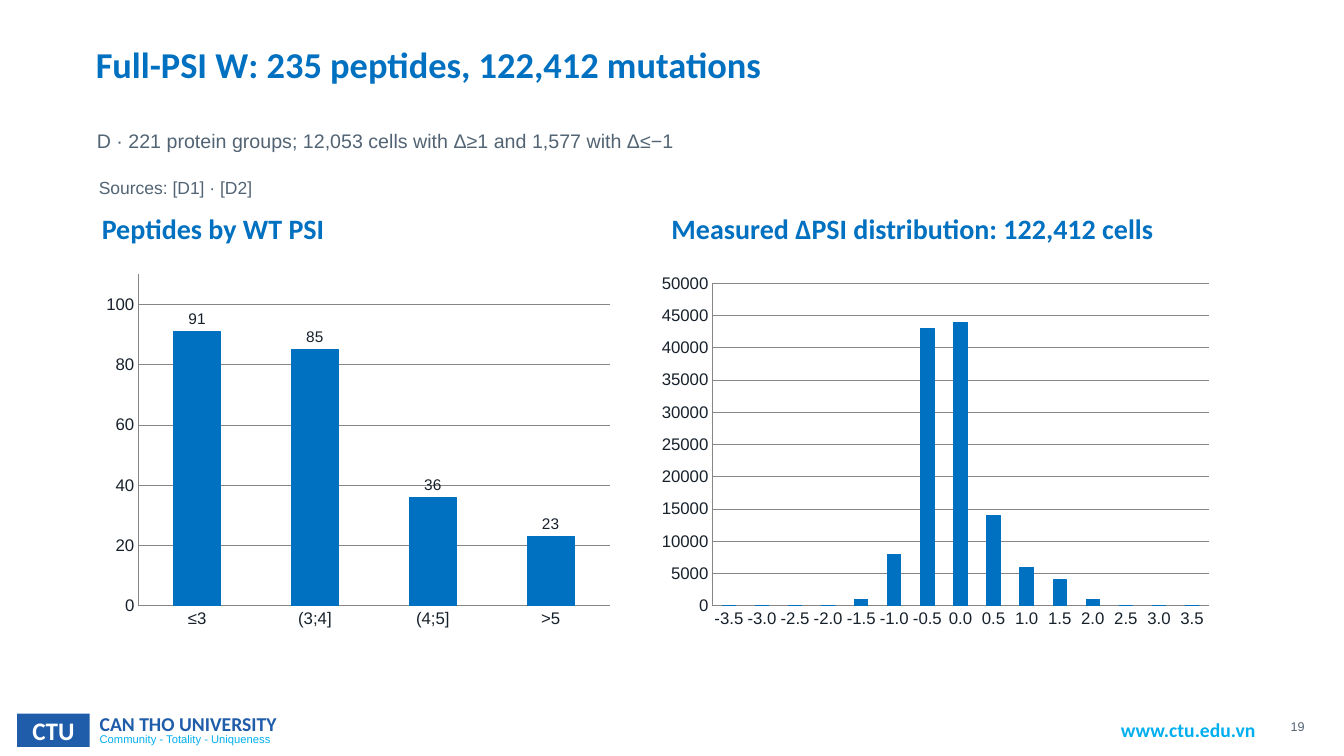
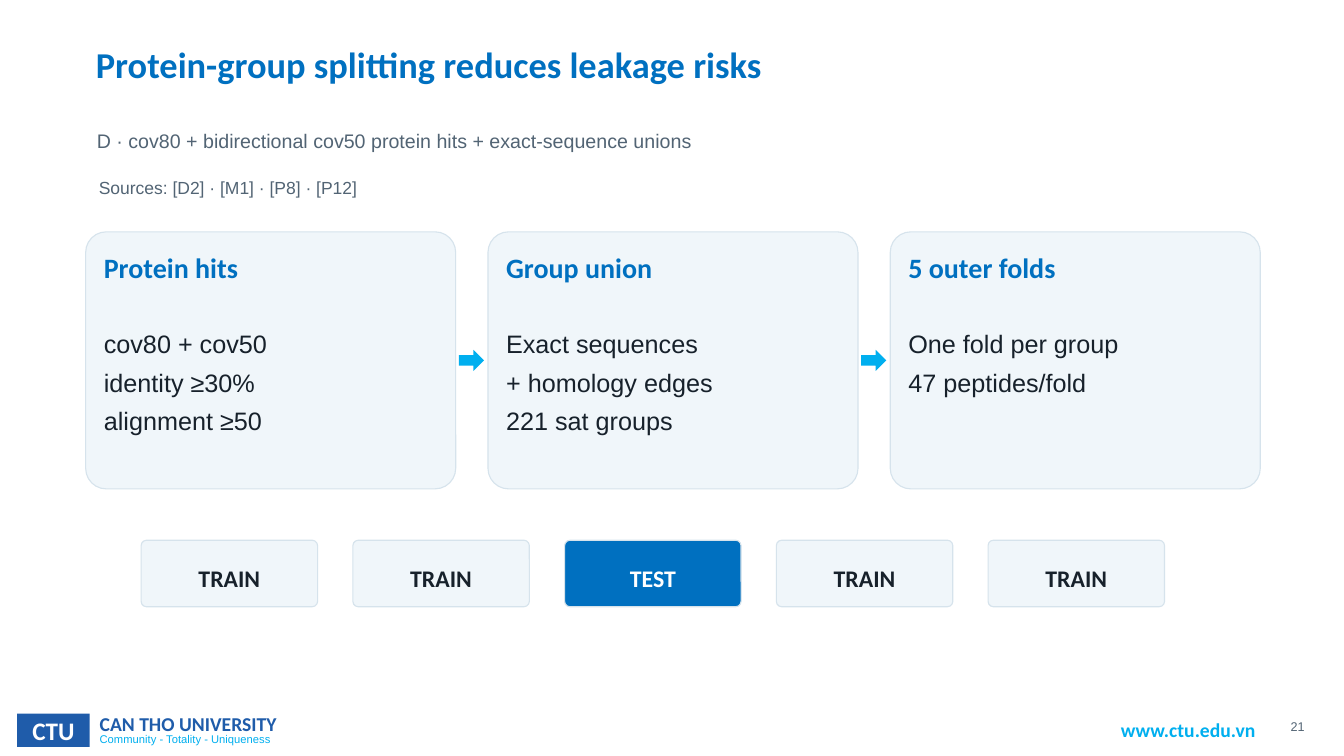
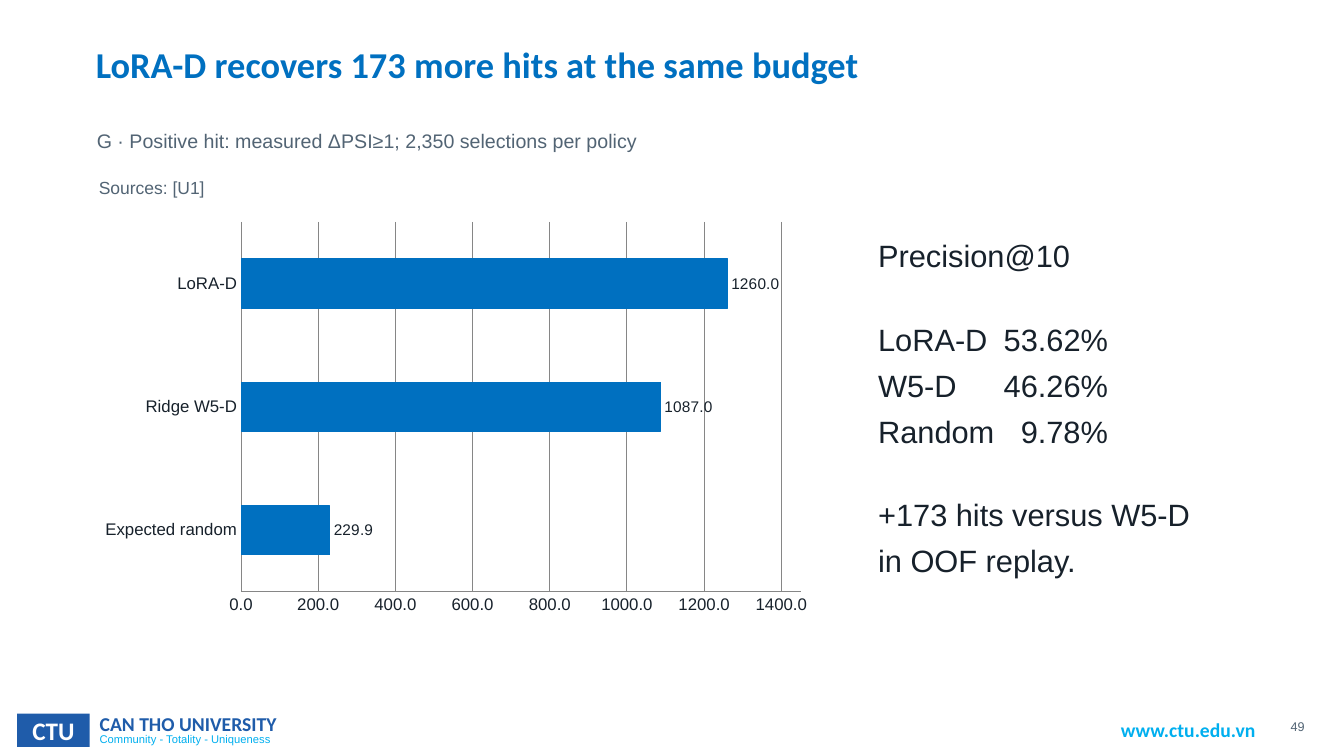
from dataclasses import dataclass
from typing import NamedTuple, Optional, Sequence

from pptx import Presentation
from pptx.chart.data import CategoryChartData
from pptx.dml.color import RGBColor
from pptx.enum.chart import XL_CHART_TYPE as Kind, XL_LABEL_POSITION as Spot, XL_TICK_MARK as Tick
from pptx.enum.shapes import MSO_SHAPE as Form
from pptx.enum.text import MSO_ANCHOR as Anchor, PP_ALIGN as Align
from pptx.oxml import parse_xml
from pptx.oxml.ns import nsdecls
from pptx.util import Inches, Pt

BLUE = RGBColor(0x00, 0x70, 0xC0)
CYAN = RGBColor(0x00, 0xAF, 0xEF)
NAVY = RGBColor(0x1F, 0x5C, 0xAA)
INK = RGBColor(0x17, 0x21, 0x2B)
SLATE = RGBColor(0x52, 0x64, 0x74)
PALE = RGBColor(0xF0, 0xF6, 0xFA)
EDGE = RGBColor(0xD6, 0xE3, 0xEC)
GRID = RGBColor(0x86, 0x86, 0x86)
WHITE = RGBColor(0xFF, 0xFF, 0xFF)
HEAD, BODY = "Calibri", "Arial"


class Box(NamedTuple):
    left: float
    top: float
    width: float
    height: float

    def emu(self) -> list:
        return [Inches(n) for n in self]


@dataclass(frozen=True)
class Style:
    size: float
    color: RGBColor
    face: str = BODY
    bold: bool = False
    align: Align = Align.LEFT
    line: Optional[float] = 1.13
    after: float = 3


TITLE = Style(26, BLUE, HEAD, True)
LEAD = Style(14, SLATE)
SOURCE = Style(12.5, SLATE)
SUBHEAD = Style(20, BLUE, HEAD, True)
TEXT = Style(18, INK)
LARGE = Style(22, INK)
NUMBER = Style(9, SLATE, align=Align.RIGHT)
BADGE = Style(18, WHITE, HEAD, True, Align.CENTER, None, 0)
SITE = Style(14, CYAN, HEAD, True, line=None, after=0)
SCHOOL = Style(14, NAVY, HEAD, True, line=None, after=0)
MOTTO = Style(8, CYAN, line=None, after=0)


@dataclass(frozen=True)
class Card:
    head: str
    lines: tuple


@dataclass(frozen=True)
class Plot:
    box: Box
    kind: Kind
    data: dict
    top: float
    step: float
    form: str = "0"
    labels: bool = True


def write(frame, lines: Sequence[str], style: Style) -> None:
    frame.word_wrap = True
    for i, line in enumerate(lines):
        para = frame.paragraphs[0] if i == 0 else frame.add_paragraph()
        para.text = line
        para.alignment = style.align
        para.space_after = Pt(style.after)
        if style.line:
            para.line_spacing = style.line
        font = para.font
        font.name, font.size, font.bold = style.face, Pt(style.size), style.bold
        font.color.rgb = style.color


def inset(frame, x: float, y: float) -> None:
    frame.margin_left = frame.margin_right = Inches(x)
    frame.margin_top = frame.margin_bottom = Inches(y)


def add_text(slide, box: Box, lines: Sequence[str], style: Style, x: float = 0.01, y: float = 0.01):
    frame = slide.shapes.add_textbox(*box.emu()).text_frame
    inset(frame, x, y)
    write(frame, lines, style)
    return frame


def add_form(slide, form: Form, box: Box, fill: RGBColor, edge: Optional[RGBColor] = None):
    shape = slide.shapes.add_shape(form, *box.emu())
    shape.shadow.inherit = False
    shape.fill.solid()
    shape.fill.fore_color.rgb = fill
    if edge:
        shape.line.color.rgb = edge
        shape.line.width = Pt(0.8)
    else:
        shape.line.fill.background()
    if form == Form.ROUNDED_RECTANGLE:
        shape.adjustments[0] = 0.08
    return shape


def add_page(deck, number: int, title: str, lead: str, source: str):
    """Add a slide with the shared heading lines and footer."""
    slide = deck.slides.add_slide(deck.slide_layouts[6])
    add_text(slide, Box(11.02, 7.07, 1.64, 0.34), ["www.ctu.edu.vn"], SITE, 0.1, 0.05)
    badge = add_form(slide, Form.RECTANGLE, Box(0.17, 7.08, 0.72, 0.33), NAVY).text_frame
    badge.vertical_anchor = Anchor.MIDDLE
    write(badge, ["CTU"], BADGE)
    add_text(slide, Box(0.89, 7.22, 2.1, 0.24), ["Community - Totality - Uniqueness"], MOTTO, 0.1, 0.05)
    add_text(slide, Box(0.89, 7.01, 3.02, 0.34), ["CAN THO UNIVERSITY"], SCHOOL, 0.1, 0.05)
    add_text(slide, Box(0.94, 0.35, 11.65, 0.82), [title], TITLE)
    add_text(slide, Box(0.95, 1.24, 11.55, 0.48), [lead], LEAD)
    add_text(slide, Box(12.65, 7.1, 0.3, 0.2), [str(number)], NUMBER)
    add_text(slide, Box(0.97, 1.72, 11.47, 0.27), [source], SOURCE)
    return slide


def set_font(font, size: float) -> None:
    font.name, font.size = BODY, Pt(size)
    font.color.rgb = INK


def add_plot(slide, plot: Plot) -> None:
    data = CategoryChartData(number_format=plot.form)
    data.categories = list(plot.data)
    data.add_series("Series 1", list(plot.data.values()))
    chart = slide.shapes.add_chart(plot.kind, *plot.box.emu(), data).chart
    chart.has_title = chart.has_legend = False
    set_font(chart.font, 12)
    for axis in (chart.category_axis, chart.value_axis):
        axis.major_tick_mark = axis.minor_tick_mark = Tick.NONE
        axis.format.line.color.rgb = GRID
        set_font(axis.tick_labels.font, 12)
    values = chart.value_axis
    values.minimum_scale, values.maximum_scale, values.major_unit = 0, plot.top, plot.step
    values.tick_labels.number_format = plot.form
    values.tick_labels.number_format_is_linked = False
    values.has_major_gridlines = True
    values.major_gridlines.format.line.color.rgb = GRID
    bars = chart.plots[0]
    bars.vary_by_categories = False
    bars.gap_width = 150
    look = bars.series[0].format
    look.fill.solid()
    look.fill.fore_color.rgb = BLUE
    look.line.color.rgb = BLUE
    look.line.width = Pt(0.75)
    if plot.labels:
        labels = bars.series[0].data_labels
        labels.show_value = True
        labels.position = Spot.OUTSIDE_END
        labels.number_format = plot.form
        labels.number_format_is_linked = False
        set_font(labels.font, 11)


def add_data(deck) -> None:
    slide = add_page(deck, 19, "Full-PSI W: 235 peptides, 122,412 mutations",
                     "D · 221 protein groups; 12,053 cells with Δ≥1 and 1,577 with Δ≤−1",
                     "Sources: [D1] · [D2]")
    add_text(slide, Box(1, 2.04, 5.6, 0.45), ["Peptides by WT PSI"], SUBHEAD)
    add_plot(slide, Plot(Box(0.95, 2.65, 5.2, 3.65), Kind.COLUMN_CLUSTERED,
                         {"≤3": 91, "(3;4]": 85, "(4;5]": 36, ">5": 23}, 110, 20))
    add_text(slide, Box(6.65, 2.04, 5.7, 0.45), ["Measured ΔPSI distribution: 122,412 cells"], SUBHEAD)
    counts = [0, 0, 0, 0, 1000, 8000, 43000, 44000, 14000, 6000, 4000, 1000, 0, 0, 0]
    bins = {f"{-3.5 + i / 2:.1f}": count for i, count in enumerate(counts)}
    add_plot(slide, Plot(Box(6.45, 2.65, 5.65, 3.65), Kind.COLUMN_CLUSTERED,
                         bins, 50000, 5000, labels=False))


def add_split(deck) -> None:
    slide = add_page(deck, 21, "Protein-group splitting reduces leakage risks",
                     "D · cov80 + bidirectional cov50 protein hits + exact-sequence unions",
                     "Sources: [D2] · [M1] · [P8] · [P12]")
    cards = (
        Card("Protein hits", ("cov80 + cov50", "identity ≥30%", "alignment ≥50")),
        Card("Group union", ("Exact sequences", "+ homology edges", "221 sat groups")),
        Card("5 outer folds", ("One fold per group", "47 peptides/fold")),
    )
    for i, card in enumerate(cards):
        left = 0.85 + 3.99 * i
        if i:
            add_form(slide, Form.RIGHT_ARROW, Box(left - 0.29, 3.47, 0.25, 0.21), CYAN)
        add_form(slide, Form.ROUNDED_RECTANGLE, Box(left, 2.3, 3.67, 2.55), PALE, EDGE)
        add_text(slide, Box(left + 0.17, 2.43, 3.33, 0.66), [card.head], SUBHEAD)
        add_text(slide, Box(left + 0.17, 3.21, 3.33, 1.53), card.lines, TEXT)
    for i in range(5):
        test = i == 2
        fold = add_form(slide, Form.ROUNDED_RECTANGLE, Box(1.4 + 2.1 * i, 5.36, 1.75, 0.66),
                        BLUE if test else PALE, EDGE)
        frame = fold.text_frame
        frame.vertical_anchor = Anchor.TOP
        inset(frame, 0.01, 0.01)
        frame.margin_top = Inches(0.18)
        write(frame, ["TEST" if test else "TRAIN"],
              Style(17, WHITE if test else INK, HEAD, True, Align.CENTER))


def add_tab(para, place: float) -> None:
    """Add a right-aligned tab stop."""
    stops = parse_xml(f'<a:tabLst {nsdecls("a")}><a:tab pos="{Inches(place)}" algn="r"/></a:tabLst>')
    props = para._p.get_or_add_pPr()
    ends = props.find("{http://schemas.openxmlformats.org/drawingml/2006/main}defRPr")
    if ends is None:
        props.append(stops)
    else:
        ends.addprevious(stops)


def add_gain(deck) -> None:
    slide = add_page(deck, 49, "LoRA-D recovers 173 more hits at the same budget",
                     "G · Positive hit: measured ΔPSI≥1; 2,350 selections per policy",
                     "Sources: [U1]")
    add_plot(slide, Plot(Box(0.9, 2.12, 7.25, 4.05), Kind.BAR_CLUSTERED,
                         {"Expected random": 229.9, "Ridge W5-D": 1087, "LoRA-D": 1260},
                         1450, 200, "0.0"))
    rates = ("LoRA-D\t53.62%", "W5-D\t46.26%", "Random\t9.78%")
    lines = ("Precision@10", *rates, "+173 hits versus W5-D", "in OOF replay.")
    paras = add_text(slide, Box(8.7, 2.29, 3.4, 3.9), lines, LARGE).paragraphs
    for para in paras[1:4]:
        add_tab(para, 2.28)
    for para in (paras[1], paras[4]):
        para.space_before = Pt(27)


def main() -> None:
    deck = Presentation()
    deck.slide_width, deck.slide_height = Inches(13.33), Inches(7.5)
    for add in (add_data, add_split, add_gain):
        add(deck)
    deck.save("out.pptx")


if __name__ == "__main__":
    main()
